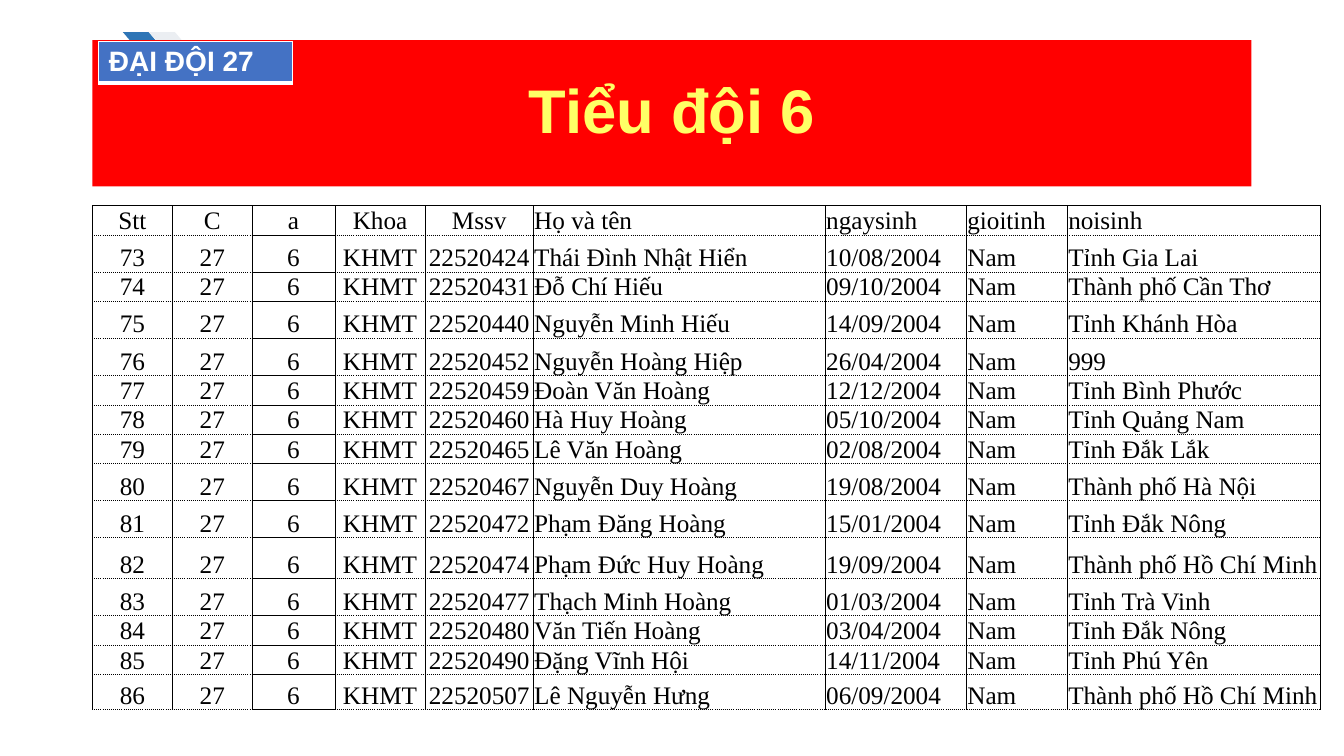
from lxml.etree import SubElement as Sub
from pptx import Presentation
from pptx.dml.color import RGBColor as RGB
from pptx.enum.shapes import MSO_SHAPE as SHAPE
from pptx.enum.text import MSO_ANCHOR as ANCHOR, PP_ALIGN as ALIGN
from pptx.oxml.ns import qn
from pptx.util import Pt

HUES = {"red": "FF0000", "yellow": "FFFF66", "navy": "2E75B6", "pale": "EBEEF2",
        "blue": "4472C4", "white": "FFFFFF", "black": "000000"}

TITLE = "Tiểu đội 6"
UNIT = "ĐẠI ĐỘI 27"
HEAD = ["Stt", "C", "a", "Khoa", "Mssv", "Họ và tên", "ngaysinh", "gioitinh", "noisinh"]
FIRST = 73
TEAM = ["27", "6", "KHMT"]
SEX = "Nam"
# student number, name, birth date, birthplace
MEN = [
    ("22520424", "Thái Đình Nhật Hiển", "10/08/2004", "Tỉnh Gia Lai"),
    ("22520431", "Đỗ Chí Hiếu", "09/10/2004", "Thành phố Cần Thơ"),
    ("22520440", "Nguyễn Minh Hiếu", "14/09/2004", "Tỉnh Khánh Hòa"),
    ("22520452", "Nguyễn Hoàng Hiệp", "26/04/2004", "999"),
    ("22520459", "Đoàn Văn Hoàng", "12/12/2004", "Tỉnh Bình Phước"),
    ("22520460", "Hà Huy Hoàng", "05/10/2004", "Tỉnh Quảng Nam"),
    ("22520465", "Lê Văn Hoàng", "02/08/2004", "Tỉnh Đắk Lắk"),
    ("22520467", "Nguyễn Duy Hoàng", "19/08/2004", "Thành phố Hà Nội"),
    ("22520472", "Phạm Đăng Hoàng", "15/01/2004", "Tỉnh Đắk Nông"),
    ("22520474", "Phạm Đức Huy Hoàng", "19/09/2004", "Thành phố Hồ Chí Minh"),
    ("22520477", "Thạch Minh Hoàng", "01/03/2004", "Tỉnh Trà Vinh"),
    ("22520480", "Văn Tiến Hoàng", "03/04/2004", "Tỉnh Đắk Nông"),
    ("22520490", "Đặng Vĩnh Hội", "14/11/2004", "Tỉnh Phú Yên"),
    ("22520507", "Lê Nguyễn Hưng", "06/09/2004", "Thành phố Hồ Chí Minh"),
]
ROWS = [HEAD] + [[str(num), *TEAM, code, name, born, SEX, place]
                 for num, (code, name, born, place) in enumerate(MEN, FIRST)]

WIDTHS = [57.1, 57.1, 59, 64.6, 77.2, 208.6, 100.8, 72.1, 180.7]
LOW, TALL = 21, 26.5
HEIGHTS = [LOW, TALL, LOW, TALL, TALL, LOW, LOW, LOW,
           TALL, TALL, 29.3, TALL, LOW, LOW, 25]
SQUAD = HEAD.index("a")
MIDDLE = 5  # columns before this one are centred


def paint(shape, hue):
    shape.shadow.inherit = False
    shape.fill.solid()
    shape.fill.fore_color.rgb = RGB.from_string(HUES[hue])
    shape.line.fill.background()


def write(frame, text, size, face, hue, bold=False, align=ALIGN.LEFT):
    par = frame.paragraphs[0]
    par.alignment = align
    run = par.add_run()
    run.text = text
    font = run.font
    font.size, font.name, font.bold = Pt(size), face, bold
    font.color.rgb = RGB.from_string(HUES[hue])
    return par


def edge(cell, side, hue, width, dash="solid"):
    """Add one border; call in the order L, R, T, B and before any fill."""
    line = Sub(cell._tc.get_or_add_tcPr(), qn("a:ln" + side), w=str(Pt(width)))
    Sub(Sub(line, qn("a:solidFill")), qn("a:srgbClr"), val=HUES[hue])
    Sub(line, qn("a:prstDash"), val=dash)


def grid(left, top, widths, heights):
    """Add a table without header or band styling."""
    table = shapes.add_table(len(heights), len(widths), Pt(left), Pt(top),
                             Pt(sum(widths)), Pt(sum(heights))).table
    table.first_row = table.horz_banding = False
    for col, width in zip(table.columns, widths):
        col.width = Pt(width)
    for row, height in zip(table.rows, heights):
        row.height = Pt(height)
    return table


deck = Presentation()
deck.slide_width, deck.slide_height = Pt(960), Pt(540)
shapes = deck.slides.add_slide(deck.slide_layouts[6]).shapes

for left, hue in ((87.8, "navy"), (106.6, "pale")):
    paint(shapes.add_shape(SHAPE.CHEVRON, Pt(left), Pt(23), Pt(36.7), Pt(43.2)), hue)

banner = shapes.add_shape(SHAPE.RECTANGLE, Pt(66), Pt(28.75), Pt(828), Pt(104.4))
paint(banner, "red")
banner.text_frame.word_wrap = True
banner.text_frame.vertical_anchor = ANCHOR.MIDDLE
write(banner.text_frame, TITLE, 44, "Arial", "yellow", True, ALIGN.CENTER).line_spacing = 0.9

roster = grid(66, 146.8, WIDTHS, HEIGHTS)
for r, row in enumerate(ROWS):
    for c, text in enumerate(row):
        cell = roster.cell(r, c)
        cell.margin_left = cell.margin_right = cell.margin_top = Pt(0.7)
        cell.margin_bottom = 0
        cell.vertical_anchor = ANCHOR.BOTTOM
        write(cell.text_frame, text, 18, "Times New Roman", "black",
              align=ALIGN.CENTER if c < MIDDLE else ALIGN.LEFT)
        for side in "LRTB":
            firm = side in "LR" or c == SQUAD or (r == 0 and side == "T")
            edge(cell, side, "black", 0.5, "solid" if firm else "sysDot")
        cell.fill.background()

badge = grid(70.6, 29.5, [138.3], [29.5]).cell(0, 0)
write(badge.text_frame, UNIT, 20, "Arial", "white", True)
for side in "LRTB":
    edge(badge, side, "white", 3 if side == "B" else 1)
badge.fill.solid()
badge.fill.fore_color.rgb = RGB.from_string(HUES["blue"])

deck.save("out.pptx")
